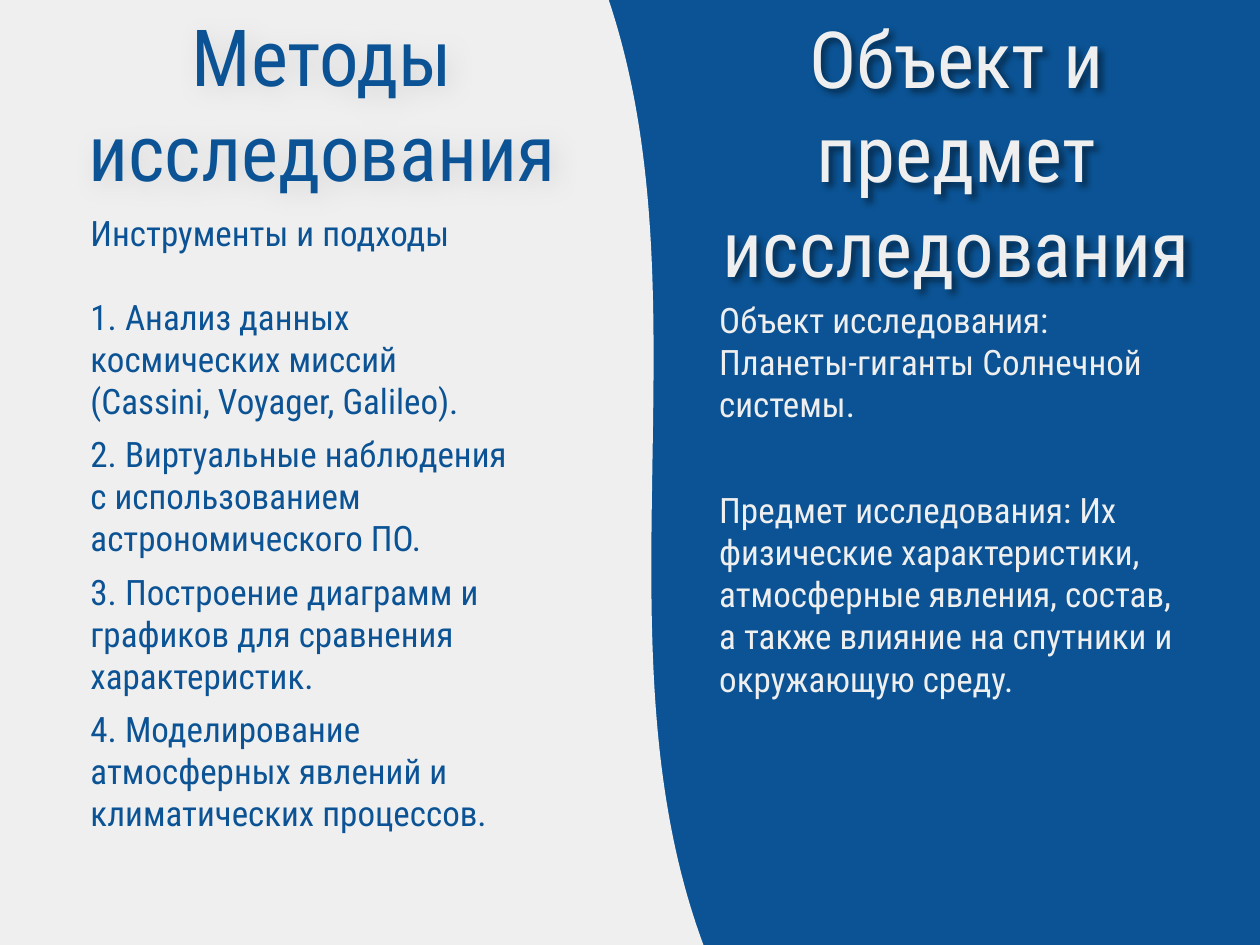
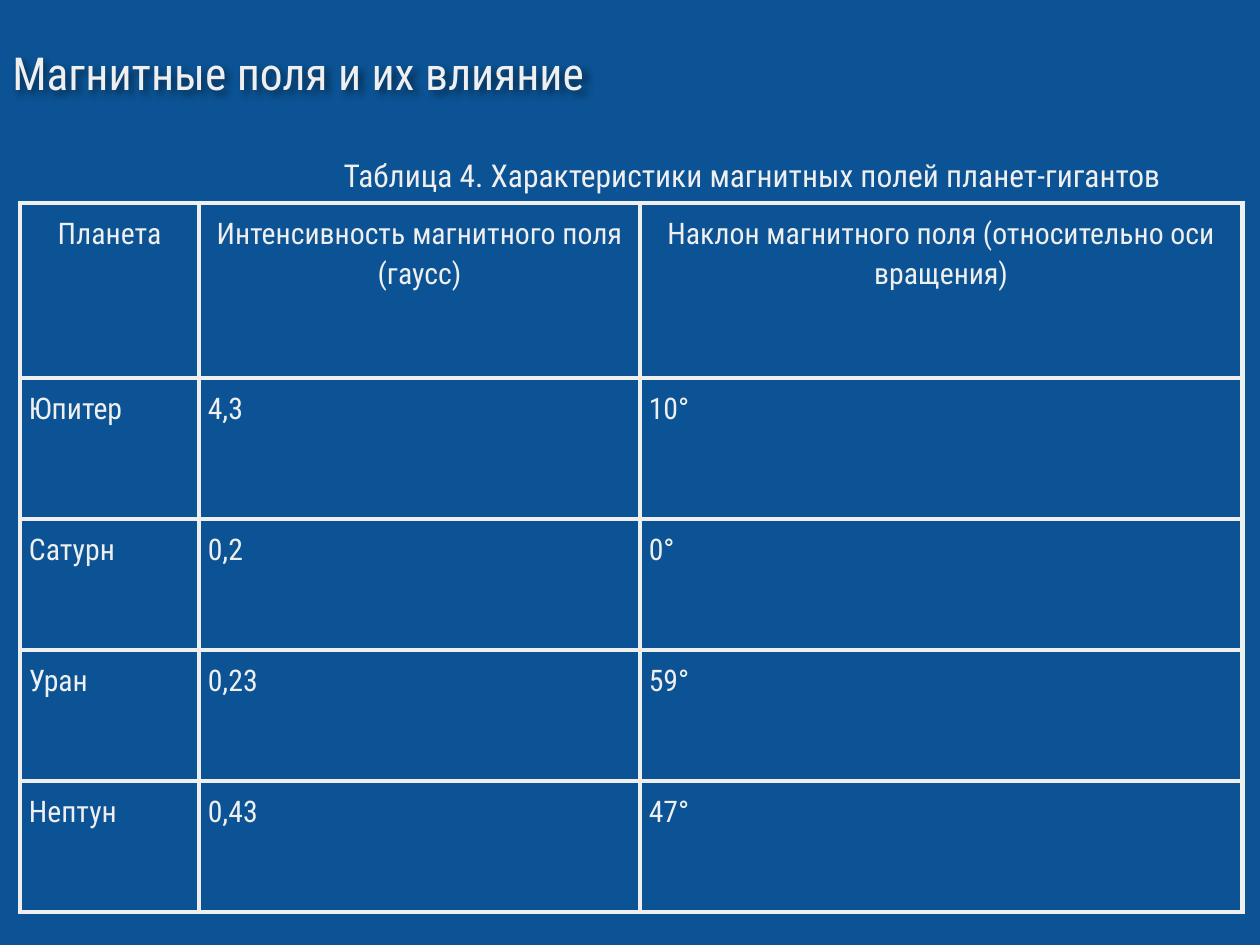
from dataclasses import dataclass

from lxml import etree
from pptx import Presentation
from pptx import util as u
from pptx.dml.color import RGBColor
from pptx.enum import shapes, text
from pptx.oxml import ns


@dataclass(frozen=True)
class Theme:
    font: str = "Roboto Condensed"
    blue: str = "0B5394"
    light: str = "EFEFEF"
    shadow: str = "000000"
    title_size: float = 45
    heading_size: float = 26
    body_size: float = 20
    caption_size: float = 18
    table_size: float = 17
    border_width: float = 3
    line_spacing: float = 1.15


@dataclass(frozen=True)
class TextShadow:
    blur: float
    distance: float
    opacity: int


TIGHT_SHADOW = TextShadow(blur=4, distance=3, opacity=45)
SOFT_SHADOW = TextShadow(blur=15, distance=4, opacity=10)


def add_child(parent, tag, **attributes):
    return etree.SubElement(parent, ns.qn(tag), attributes)


class DeckBuilder:
    def __init__(self, theme):
        self.theme = theme
        self.presentation = Presentation()
        self.presentation.slide_width = u.Inches(10)
        self.presentation.slide_height = u.Inches(7.5)
        self.slide = None

    def start_slide(self):
        blank_layout = self.presentation.slide_layouts[6]
        self.slide = self.presentation.slides.add_slide(blank_layout)
        fill = self.slide.background.fill
        fill.solid()
        fill.fore_color.rgb = RGBColor.from_string(self.theme.blue)

    def panel(self, kind, box, rotation=0, adjustments=()):
        shape = self.slide.shapes.add_shape(kind, *map(u.Inches, box))
        shape.shadow.inherit = False
        shape.rotation = rotation
        for index, value in enumerate(adjustments):
            shape.adjustments[index] = value
        shape.fill.solid()
        shape.fill.fore_color.rgb = RGBColor.from_string(self.theme.light)
        shape.line.fill.background()

    def style(self, paragraph, size, color, align=text.PP_ALIGN.LEFT):
        paragraph.alignment = align
        paragraph.font.name = self.theme.font
        paragraph.font.size = u.Pt(size)
        paragraph.font.color.rgb = RGBColor.from_string(color)

    def text_box(self, box, items, size, color, align=text.PP_ALIGN.LEFT,
                 anchor=text.MSO_ANCHOR.TOP, margin=0.05, line_spacing=None):
        """Each item is a pair: wording and space before in points."""
        shape = self.slide.shapes.add_textbox(*map(u.Inches, box))
        frame = shape.text_frame
        frame.word_wrap = True
        frame.vertical_anchor = anchor
        frame.margin_top = frame.margin_bottom = u.Inches(margin)
        for index, (wording, space_before) in enumerate(items):
            paragraph = frame.add_paragraph() if index else frame.paragraphs[0]
            paragraph.text = wording
            paragraph.space_before = u.Pt(space_before)
            if line_spacing:
                paragraph.line_spacing = line_spacing
            self.style(paragraph, size, color, align)
        return shape

    def title(self, box, wording, color, shadow):
        shape = self.text_box(box, [(wording, 0)], self.theme.title_size, color,
                              text.PP_ALIGN.CENTER, text.MSO_ANCHOR.MIDDLE)
        self.text_shadow(shape, shadow)

    def label(self, box, wording, size):
        return self.text_box(box, [(wording, 0)], size, self.theme.light,
                             margin=0.1, line_spacing=self.theme.line_spacing)

    def heading(self, box, wording):
        shape = self.label(box, wording, self.theme.heading_size)
        self.text_shadow(shape, TIGHT_SHADOW)

    def text_shadow(self, shape, shadow):
        effects = add_child(shape._element.spPr, "a:effectLst")
        outer = add_child(effects, "a:outerShdw", blurRad=str(u.Pt(shadow.blur)),
                          dist=str(u.Pt(shadow.distance)), dir="2700000",
                          algn="tl", rotWithShape="0")
        color = add_child(outer, "a:srgbClr", val=self.theme.shadow)
        add_child(color, "a:alpha", val=str(shadow.opacity * 1000))

    def table(self, left, top, column_widths, row_heights, rows):
        box = left, top, sum(column_widths), sum(row_heights)
        frame = self.slide.shapes.add_table(len(rows), len(column_widths),
                                            *map(u.Inches, box))
        table = frame.table
        table.first_row = table.horz_banding = False
        for column, width in zip(table.columns, column_widths):
            column.width = u.Inches(width)
        for row, height in zip(table.rows, row_heights):
            row.height = u.Inches(height)
        for row_index, values in enumerate(rows):
            align = text.PP_ALIGN.LEFT if row_index else text.PP_ALIGN.CENTER
            for column_index, value in enumerate(values):
                self.fill_cell(table.cell(row_index, column_index), value, align)

    def fill_cell(self, cell, value, align):
        cell.margin_left = cell.margin_right = u.Inches(0.07)
        cell.margin_top = cell.margin_bottom = u.Inches(0.07)
        cell.text = value
        paragraph = cell.text_frame.paragraphs[0]
        paragraph.line_spacing = self.theme.line_spacing
        self.style(paragraph, self.theme.table_size, self.theme.light, align)
        properties = cell._tc.get_or_add_tcPr()
        for side in "LRTB":
            line = add_child(properties, f"a:ln{side}",
                             w=str(u.Pt(self.theme.border_width)))
            fill = add_child(line, "a:solidFill")
            add_child(fill, "a:srgbClr", val=self.theme.light)
        cell.fill.background()


def build_methods_slide(deck):
    theme = deck.theme
    deck.start_slide()

    # Light left half with a wavy edge
    deck.panel(shapes.MSO_SHAPE.WAVE, (-2.29, 2.29, 11.89, 4.49),
               rotation=76.5, adjustments=(0.125, 0.041))
    deck.panel(shapes.MSO_SHAPE.RECTANGLE, (-0.12, -0.46, 3.8, 7.96))

    # Titles
    deck.title((5.24, 0.29, 4.7, 1.82), "Объект и предмет исследования",
               theme.light, TIGHT_SHADOW)
    deck.title((0.28, 0.25, 4.55, 1.13), "Методы исследования",
               theme.blue, SOFT_SHADOW)

    # Object and subject
    subject = [
        ("Объект исследования: Планеты-гиганты Солнечной системы.", 0),
        ("Предмет исследования: Их физические характеристики, атмосферные "
         "явления, состав, а также влияние на спутники и окружающую среду.", 36.8),
    ]
    deck.text_box((5.61, 2.32, 3.91, 5.26), subject, theme.body_size, theme.light)

    # Methods
    methods = [
        ("Инструменты и подходы", 0),
        ("1. Анализ данных космических миссий (Cassini, Voyager, Galileo).", 24),
        ("2. Виртуальные наблюдения с использованием астрономического ПО.", 6.4),
        ("3. Построение диаграмм и графиков для сравнения характеристик.", 6.4),
        ("4. Моделирование атмосферных явлений и климатических процессов.", 6.4),
    ]
    deck.text_box((0.62, 1.63, 3.63, 5.5), methods, theme.body_size, theme.blue)


def build_magnetic_slide(deck):
    deck.start_slide()

    # Table of field characteristics
    rows = [
        ("Планета", "Интенсивность магнитного поля (гаусс)",
         "Наклон магнитного поля (относительно оси вращения)"),
        ("Юпитер", "4,3", "10°"),
        ("Сатурн", "0,2", "0°"),
        ("Уран", "0,23", "59°"),
        ("Нептун", "0,43", "47°"),
    ]
    deck.table(0.16, 1.61, (1.42, 3.5, 4.78), (1.39, 1.12, 1.04, 1.04, 1.04), rows)

    # Heading and caption
    deck.heading((0, 0.19, 5, 0.64), "Магнитные поля и их влияние")
    deck.label((2.63, 1.09, 7.37, 0.5),
               "Таблица 4. Характеристики магнитных полей планет-гигантов",
               deck.theme.caption_size)


def main():
    deck = DeckBuilder(Theme())
    build_methods_slide(deck)
    build_magnetic_slide(deck)
    deck.presentation.save("out.pptx")


if __name__ == "__main__":
    main()
